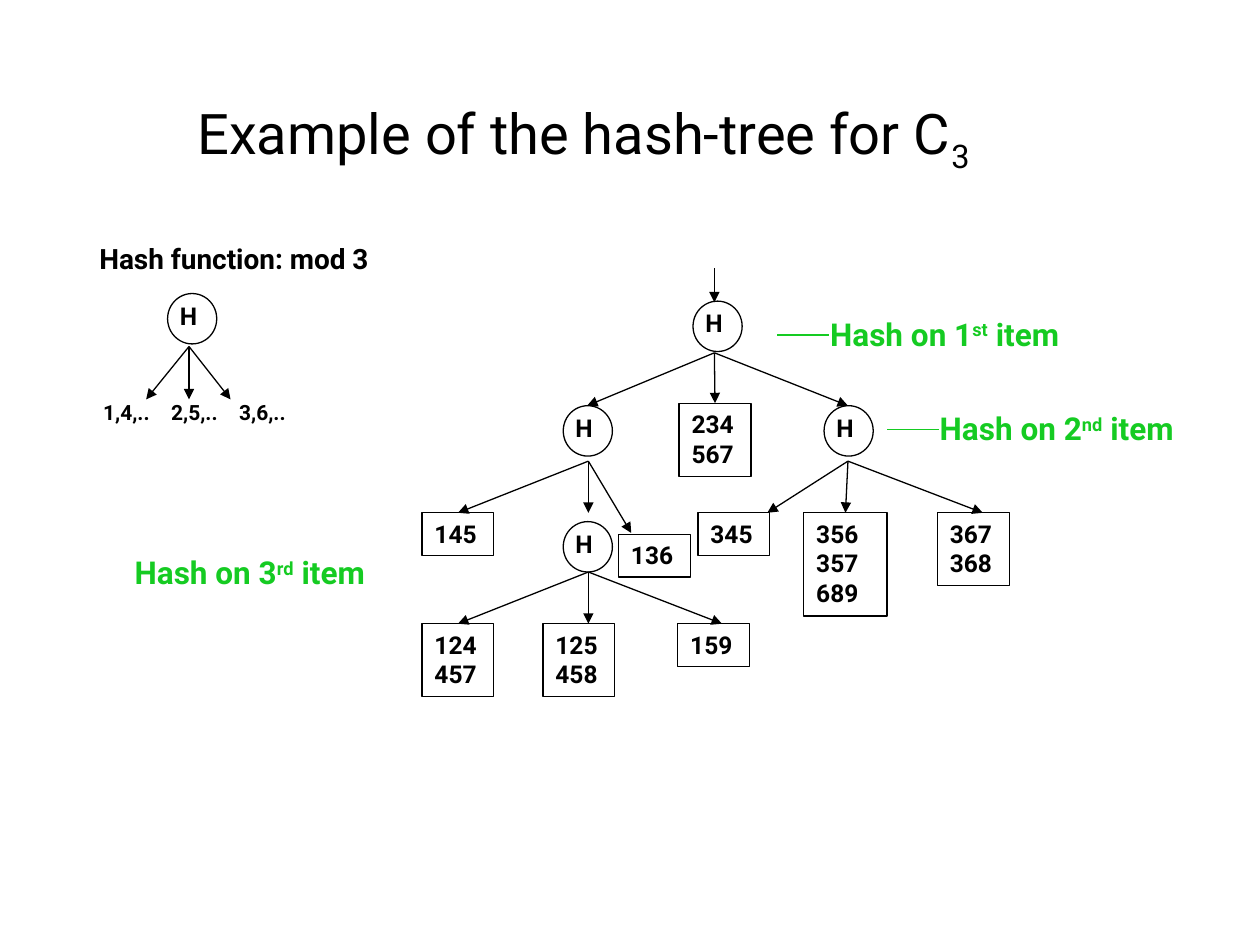
from lxml.etree import SubElement
from pptx import Presentation
from pptx.dml.color import RGBColor
from pptx.enum.shapes import MSO_CONNECTOR as CONNECTOR, MSO_SHAPE as SHAPE
from pptx.enum.text import MSO_ANCHOR as ANCHOR, PP_ALIGN as ALIGN
from pptx.oxml.ns import qn
from pptx.util import Inches, Pt

BLACK = RGBColor(0x00, 0x00, 0x00)
GREEN = RGBColor(0x15, 0xCB, 0x22)
FONT = "Roboto"
TOP = 0

TITLE = [("Example of the hash-tree for C", 0), ("3", -25)]
CAPTIONS = [
    ("Hash function: mod 3", 0.69, 1.87, 2.62, 0.37, 16),
    ("1,4,..", 0.72, 3.12, 0.69, 0.3, 12),
    ("2,5,..", 1.26, 3.12, 0.69, 0.3, 12),
    ("3,6,..", 1.8, 3.12, 0.69, 0.3, 12),
]
LEVELS = [("1", "st", 6.49, 2.45), ("2", "nd", 7.36, 3.2), ("3", "rd", 0.97, 4.34)]
LEVEL_RULES = [(6.17, 2.66), (7.04, 3.41)]
HASH_NODES = [(1.33, 2.33), (5.5, 2.39), (4.47, 3.22), (6.54, 3.22), (4.47, 4.14)]
LEAVES = [
    (["234", "567"], 5.39, 3.2, 0.57),
    (["145"], 3.35, 4.07, 0.57),
    (["136"], 4.91, 4.24, 0.57),
    (["345"], 5.54, 4.07, 0.57),
    (["356", "357", "689"], 6.38, 4.07, 0.66),
    (["367", "368"], 7.44, 4.07, 0.57),
    (["124", "457"], 3.35, 4.95, 0.57),
    (["125", "458"], 4.31, 4.95, 0.57),
    (["159"], 5.38, 4.95, 0.57),
]
BRANCHES = [
    ((5.67, 2.13), [(5.67, 2.4, None)]),
    ((1.5, 2.75), [(1.16, 3.17, None), (1.5, 3.17, None), (1.83, 3.17, None)]),
    ((5.67, 2.8), [(4.66, 3.22, None), (5.67, 3.22, "234"), (6.73, 3.22, None)]),
    ((4.67, 3.66), [(3.66, 4.07, "145"), (4.67, 4.07, None), (5.01, 4.23, None)]),
    ((6.73, 3.66), [(6.09, 4.07, None), (6.73, 4.07, "356"), (7.8, 4.07, None)]),
    ((4.67, 4.54), [(3.66, 4.95, "124"), (4.67, 4.95, None), (5.73, 4.95, None)]),
]


def write(shape, paragraphs, size, color=BLACK, bold=True, align=ALIGN.LEFT,
          anchor=ANCHOR.TOP, margins=(0.1, 0.05, 0, 0.05)):
    frame = shape.text_frame
    frame.word_wrap = True
    frame.vertical_anchor = anchor
    (frame.margin_left, frame.margin_top,
     frame.margin_right, frame.margin_bottom) = map(Inches, margins)
    for index, runs in enumerate(paragraphs):
        paragraph = frame.add_paragraph() if index else frame.paragraphs[0]
        paragraph.alignment = align
        for text, baseline in runs:
            run = paragraph.add_run()
            run.text = text
            run.font.name, run.font.size, run.font.bold = FONT, Pt(size), bold
            run.font.color.rgb = color
            if baseline:
                run.font._element.set("baseline", str(baseline * 1000))


def add_text(slide, box, runs, size, color=BLACK):
    shape = slide.shapes.add_textbox(*map(Inches, box))
    write(shape, [runs], size, color)


def add_outline(slide, kind, box):
    shape = slide.shapes.add_shape(kind, *map(Inches, box))
    shape.shadow.inherit = False
    shape.fill.background()
    shape.line.color.rgb = BLACK
    shape.line.width = Pt(0.75)
    return shape


def add_line(slide, start, end, color=BLACK, arrow=True):
    line = slide.shapes.add_connector(CONNECTOR.STRAIGHT, *map(Inches, (*start, *end)))
    line.line.color.rgb = color
    line.line.width = Pt(0.75)
    if arrow:
        SubElement(line.line._get_or_add_ln(), qn("a:tailEnd"), type="triangle")
    SubElement(line._element.spPr, qn("a:effectLst"))
    return line


def main():
    """Build the hash-tree example slide."""
    presentation = Presentation()
    presentation.slide_width, presentation.slide_height = Inches(10), Inches(7.5)
    slide = presentation.slides.add_slide(presentation.slide_layouts[5])

    title = slide.shapes.title
    title.left, title.top, title.width, title.height = map(Inches, (0.67, 0.5, 7.92, 1.17))
    write(title, [TITLE], 32, bold=False, align=ALIGN.CENTER,
          anchor=ANCHOR.MIDDLE, margins=(0, 0, 0, 0))

    for text, left, top, width, height, size in CAPTIONS:
        add_text(slide, (left, top, width, height), [(text, 0)], size)
    for number, suffix, left, top in LEVELS:
        runs = [(f"Hash on {number}", 0), (suffix, 30), (" item", 0)]
        add_text(slide, (left, top, 2.32, 0.41), runs, 18, GREEN)
    for left, top in LEVEL_RULES:
        add_line(slide, (left, top), (left + 0.41, top), GREEN, arrow=False)

    for left, top in HASH_NODES:
        node = add_outline(slide, SHAPE.OVAL, (left, top, 0.39, 0.4))
        write(node, [[("H", 0)]], 14, margins=(0.04, 0, 0, 0))

    leaves = {}
    for itemsets, left, top, width in LEAVES:
        height = 0.1 + 0.24 * len(itemsets)
        leaf = add_outline(slide, SHAPE.RECTANGLE, (left, top, width, height))
        write(leaf, [[(itemset, 0)] for itemset in itemsets], 14)
        leaves[itemsets[0]] = leaf

    for start, ends in BRANCHES:
        for x, y, leaf in ends:
            line = add_line(slide, start, (x, y))
            if leaf:
                line.end_connect(leaves[leaf], TOP)

    presentation.save("out.pptx")


if __name__ == "__main__":
    main()
